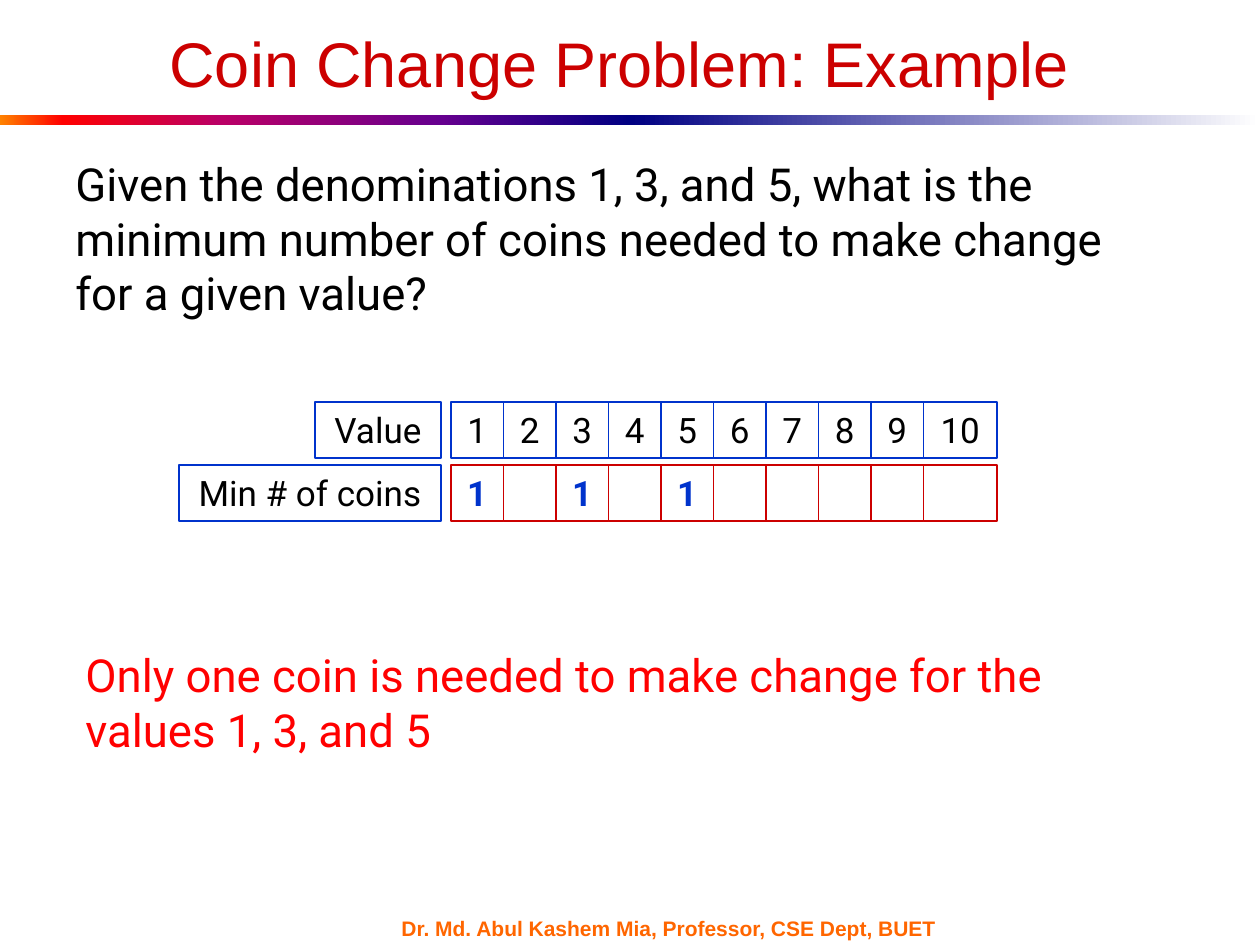
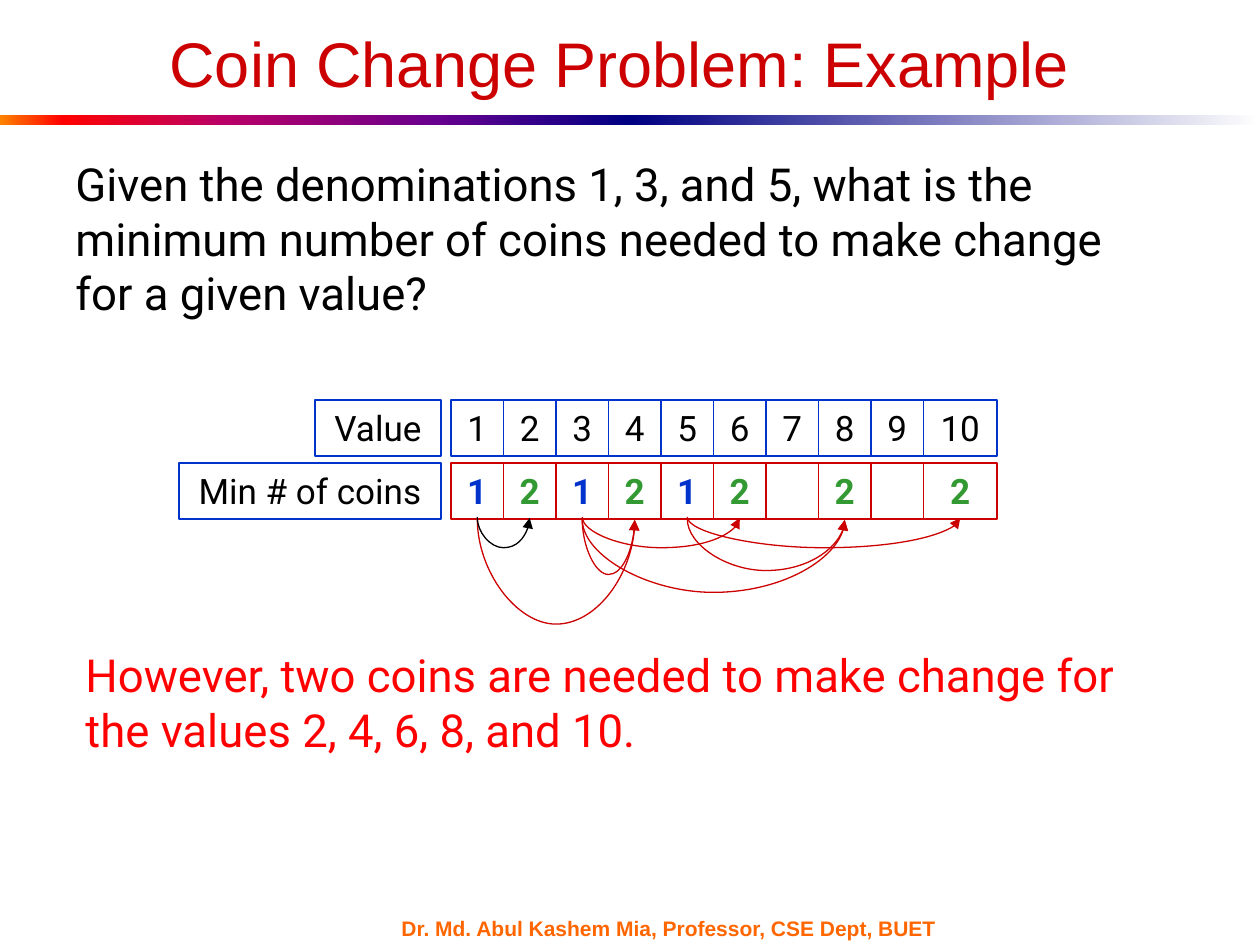
from lxml import etree
from pptx import Presentation
from pptx.dml.color import RGBColor
from pptx.enum.shapes import MSO_CONNECTOR, MSO_SHAPE
from pptx.enum.text import MSO_ANCHOR, PP_ALIGN
from pptx.oxml.ns import qn
from pptx.util import Pt

RECTANGLE, CURVE = MSO_SHAPE.RECTANGLE, MSO_CONNECTOR.CURVE
TOP, MIDDLE = MSO_ANCHOR.TOP, MSO_ANCHOR.MIDDLE
LEFT, CENTER = PP_ALIGN.LEFT, PP_ALIGN.CENTER

BLACK = RGBColor(0x00, 0x00, 0x00)
DARK_RED = RGBColor(0xCC, 0x00, 0x00)
RED = RGBColor(0xFF, 0x00, 0x00)
BLUE = RGBColor(0x00, 0x33, 0xCC)
GREEN = RGBColor(0x33, 0x99, 0x33)
ORANGE = RGBColor(0xFF, 0x66, 0x00)
NAVY = RGBColor(0x00, 0x00, 0x82)
BANDS = [
    [(0, RGBColor(0xFF, 0x82, 0x00)), (10, RED), (35, RGBColor(0xBA, 0x00, 0x66)),
     (70, RGBColor(0x66, 0x00, 0x8F)), (100, NAVY)],
    [(0, NAVY), (100, RGBColor(0xFF, 0xFF, 0xFF))],
]
COIN_COLORS = {1: BLUE, 2: GREEN}

TITLE = "Coin Change Problem: Example"
FOOTER = "Dr. Md. Abul Kashem Mia, Professor, CSE Dept, BUET"
QUESTION = ("Given the denominations 1, 3, and 5, what is the minimum number "
            "of coins needed to make change for a given value?")
VALUES = range(1, 11)
# Arcs: from value, to value, depth, rise above the row's bottom edge, colour
SLIDES = [
    {"note": "Only one coin is needed to make change for the values 1, 3, and 5",
     "coins": {1: 1, 3: 1, 5: 1}, "table_top": 402, "arcs": []},
    {"note": "However, two coins are needed to make change for the values "
             "2, 4, 6, 8, and 10.",
     "coins": {1: 1, 2: 2, 3: 1, 4: 2, 5: 1, 6: 2, 8: 2, 10: 2}, "table_top": 400,
     "arcs": [(1, 4, 106, 0, DARK_RED), (3, 4, 56, 0, DARK_RED),
              (3, 6, 31, 2, DARK_RED), (5, 8, 52, 0, DARK_RED),
              (3, 8, 74, 0, DARK_RED), (5, 10, 31, 2, DARK_RED),
              (1, 2, 31, 2, BLACK)]},
]

PX = 914400 / 126
SLIDE_WIDTH, SLIDE_HEIGHT = 1260, 945
ROW_HEIGHT, ROW_PITCH = 56, 63
LABEL_RIGHT, CELLS_LEFT = 441, 451
LABELS = [("Value", 126), ("Min # of coins", 262)]


def px(*lengths):
    return [round(length * PX) for length in lengths]


def write(shape, text, size, color, font="Roboto", bold=False, align=LEFT, anchor=TOP):
    frame = shape.text_frame
    frame.word_wrap = True
    frame.vertical_anchor = anchor
    frame.text = text
    paragraph = frame.paragraphs[0]
    paragraph.alignment = align
    for run in paragraph.runs:
        run.font.name, run.font.size, run.font.bold = font, Pt(size), bold
        run.font.color.rgb = color


def add_text(slide, box, text, size, color, **style):
    write(slide.shapes.add_textbox(*px(*box)), text, size, color, **style)


def add_band(slide, box, stops):
    band = slide.shapes.add_shape(RECTANGLE, *px(*box))
    band.shadow.inherit = False
    band.line.fill.background()
    band.fill.gradient()
    band.fill.gradient_angle = 0
    stop_list = band.element.spPr.find(".//" + qn("a:gsLst"))
    for stop in list(stop_list):
        stop_list.remove(stop)
    for percent, color in stops:
        stop = etree.SubElement(stop_list, qn("a:gs"), pos=str(percent * 1000))
        etree.SubElement(stop, qn("a:srgbClr"), val=str(color))


def add_cell(slide, box, text, line_color, color=BLACK, bold=False):
    cell = slide.shapes.add_shape(RECTANGLE, *px(*box))
    cell.shadow.inherit = False
    cell.fill.background()
    cell.line.color.rgb = line_color
    cell.line.width = Pt(0.75)
    if text:
        write(cell, text, 20, color, bold=bold, align=CENTER)


def cell_span(value):
    """Left edge and width of the column of a value; the last column is wider."""
    return CELLS_LEFT + 52.5 * (value - 1), 73.5 if value == VALUES[-1] else 52.5


def add_table_rows(slide, top, coins):
    coins_top = top + ROW_PITCH
    for value in VALUES:
        left, width = cell_span(value)
        add_cell(slide, (left, top, width, ROW_HEIGHT), str(value), BLUE)
        count = coins.get(value)
        add_cell(slide, (left, coins_top, width, ROW_HEIGHT), str(count or ""),
                 DARK_RED, COIN_COLORS.get(count), bold=True)
    for row, (label, width) in enumerate(LABELS):
        add_cell(slide, (LABEL_RIGHT - width, top + row * ROW_PITCH, width, ROW_HEIGHT),
                 label, BLUE)


def add_arc(slide, start, end, top, depth, color):
    """A curved connector one px thin, turned so that it hangs below its ends."""
    span, middle = end - start, (start + end) / 2
    arc = slide.shapes.add_connector(CURVE, 0, 0, 0, 0)
    arc.left, arc.top, arc.width, arc.height = px(middle - 0.5, top + 0.5 - span / 2, 1, span)
    arc.line.color.rgb = color
    arc.line.width = Pt(0.75)
    properties = arc.element.spPr
    transform = properties.find(qn("a:xfrm"))
    transform.set("rot", str(270 * 60000))
    transform.set("flipH", "1")
    adjustments = properties.find(".//" + qn("a:avLst"))
    etree.SubElement(adjustments, qn("a:gd"), name="adj1", fmla=f"val {depth * 100000}")
    etree.SubElement(properties.find(qn("a:ln")), qn("a:tailEnd"), type="triangle")
    etree.SubElement(properties, qn("a:effectLst"))


def add_frame(slide):
    """Title, gradient bands, footer and question, the same on every slide."""
    half = SLIDE_WIDTH // 2
    for index, stops in enumerate(BANDS):
        add_band(slide, (index * half, 115, half, 10), stops)
    add_text(slide, (389, 917, 588, 23), FOOTER, 12, ORANGE,
             font="Arial", bold=True, anchor=MIDDLE)
    title = slide.shapes.title
    title.left, title.top, title.width, title.height = px(63, 6, 1113, 112)
    write(title, TITLE, 36, DARK_RED, font="Arial", align=CENTER, anchor=MIDDLE)
    add_text(slide, (63, 150, 1113, 178), QUESTION, 26, BLACK)


def main():
    presentation = Presentation()
    presentation.slide_width, presentation.slide_height = px(SLIDE_WIDTH, SLIDE_HEIGHT)
    for content in SLIDES:
        slide = presentation.slides.add_slide(presentation.slide_layouts[5])
        add_frame(slide)
        add_table_rows(slide, content["table_top"], content["coins"])
        add_text(slide, (73, 641, 1113, 123), content["note"], 26, RED)
        bottom = content["table_top"] + ROW_PITCH + ROW_HEIGHT
        for source, target, depth, rise, color in content["arcs"]:
            start, end = (left + width / 2 for left, width in map(cell_span, (source, target)))
            add_arc(slide, start, end, bottom - rise, depth, color)
    presentation.save("out.pptx")


if __name__ == "__main__":
    main()
